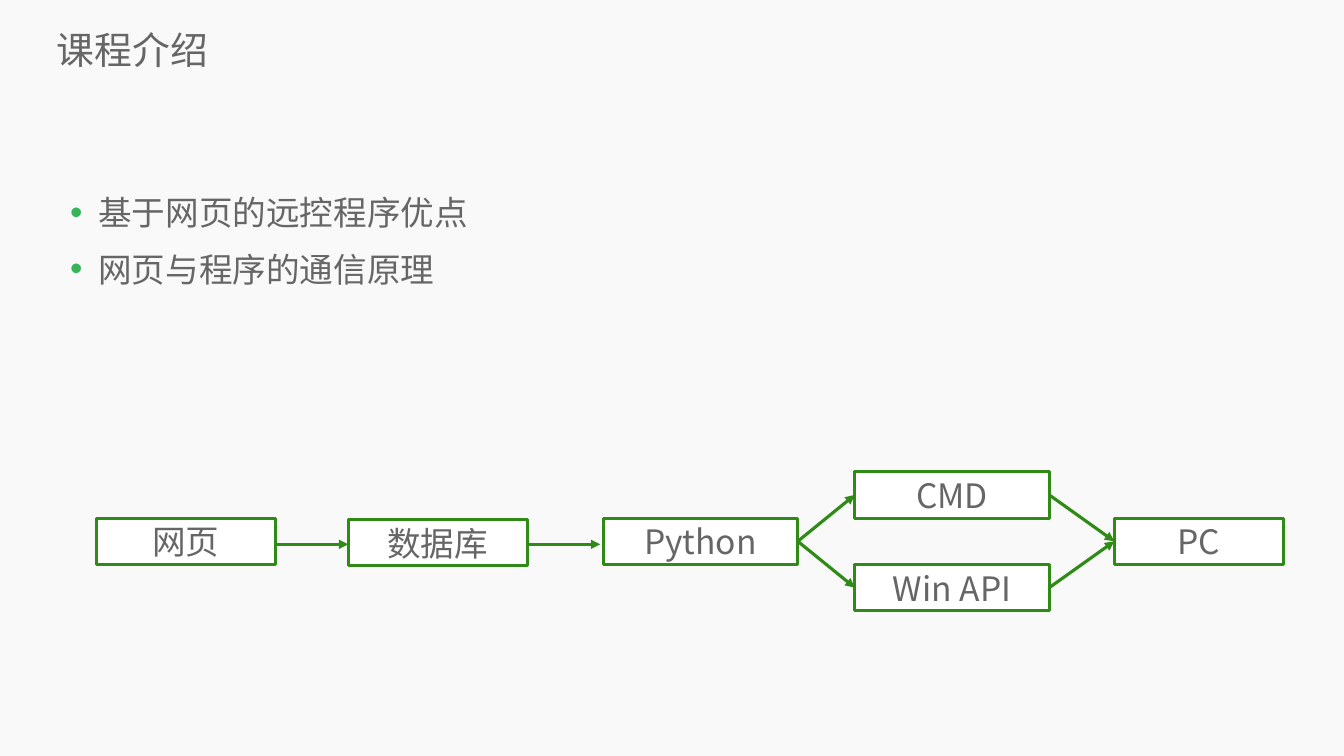
"""Build the course introduction slide with its remote control flow."""
from lxml import etree
from pptx import Presentation
from pptx import util as u
from pptx.dml.color import RGBColor
from pptx.enum import shapes, text
from pptx.oxml import ns

PAPER = RGBColor(0xF9, 0xF9, 0xF9)
WHITE = RGBColor(0xFF, 0xFF, 0xFF)
GREY = RGBColor(0x66, 0x66, 0x66)
GREEN = RGBColor(0x30, 0x8B, 0x16)
BULLET_GREEN = RGBColor(0x35, 0xB5, 0x58)

LEFT, RIGHT = 1, 3
BOX_HEIGHT = 66.2
MIDDLE_TOP = 740.2
BRANCH_OFFSET = 66.2
ARROW_Y = 777.6

BOXES = {
    "网页": (137.5, MIDDLE_TOP, 255.6),
    "数据库": (497.5, MIDDLE_TOP + 2, 255.6),
    "Python": (861.8, MIDDLE_TOP, 277.9),
    "CMD": (1221.1, MIDDLE_TOP - BRANCH_OFFSET, 277.9),
    "Win API": (1221.1, MIDDLE_TOP + BRANCH_OFFSET, 277.9),
    "PC": (1591.9, MIDDLE_TOP, 241.9),
}
BRANCHES = [("Python", "CMD"), ("Python", "Win API"), ("CMD", "PC"), ("Win API", "PC")]
LEVEL_ARROWS = [(393.1, 497.5), (753.1, 857.5)]
TOPICS = ["基于网页的远控程序优点", "网页与程序的通信原理"]


class SlideBuilder:
    """Hold the style and the current slide."""

    font = "Noto Sans CJK SC"
    size = 48
    line_width = 4.5

    def __init__(self, page):
        self.page = page
        page.background.fill.solid()
        page.background.fill.fore_color.rgb = PAPER

    def child(self, parent, tag, **attributes):
        return etree.SubElement(parent, ns.qn(tag), attributes)

    def frame(self, box, anchor, inset=0):
        frame = box.text_frame
        frame.word_wrap = True
        frame.auto_size = text.MSO_AUTO_SIZE.NONE
        frame.vertical_anchor = anchor
        frame.margin_left = frame.margin_right = u.Pt(inset)
        frame.margin_top = frame.margin_bottom = u.Pt(inset)
        return frame

    def add_words(self, para, words, size):
        span = para.add_run()
        span.text = words
        span.font.size = u.Pt(size)
        span.font.name = self.font
        span.font.color.rgb = GREY
        self.child(span.font._element, "a:ea", typeface=self.font)

    def outline(self, line):
        line.color.rgb = GREEN
        line.width = u.Pt(self.line_width)

    def title(self, words, left, top, width, height):
        box = self.page.shapes.add_textbox(u.Pt(left), u.Pt(top), u.Pt(width), u.Pt(height))
        frame = self.frame(box, text.MSO_ANCHOR.MIDDLE)
        self.add_words(frame.paragraphs[0], words, 54)

    def bullets(self, items, left, top, width, height):
        box = self.page.shapes.add_textbox(u.Pt(left), u.Pt(top), u.Pt(width), u.Pt(height))
        frame = self.frame(box, text.MSO_ANCHOR.TOP)
        for index, item in enumerate(items):
            para = frame.add_paragraph() if index else frame.paragraphs[0]
            para.line_spacing = 1.4
            props = para._p.get_or_add_pPr()
            props.set("marL", str(u.Pt(54.7)))
            props.set("indent", str(u.Pt(-40.3)))
            color = self.child(props, "a:buClr")
            self.child(color, "a:srgbClr", val=str(BULLET_GREEN))
            self.child(props, "a:buSzPct", val="105000")
            self.child(props, "a:buFont", typeface="Arial")
            self.child(props, "a:buChar", char="•")
            self.add_words(para, item, self.size)

    def box(self, words, left, top, width):
        box = self.page.shapes.add_shape(
            shapes.MSO_SHAPE.RECTANGLE, u.Pt(left), u.Pt(top), u.Pt(width), u.Pt(BOX_HEIGHT))
        box.shadow.inherit = False
        box.fill.solid()
        box.fill.fore_color.rgb = WHITE
        self.outline(box.line)
        para = self.frame(box, text.MSO_ANCHOR.MIDDLE, 4).paragraphs[0]
        para.alignment = text.PP_ALIGN.CENTER
        self.add_words(para, words, self.size)
        return box

    def arrow(self, start_x=0, start_y=0, end_x=0, end_y=0):
        arrow = self.page.shapes.add_connector(
            shapes.MSO_CONNECTOR.STRAIGHT,
            u.Pt(start_x), u.Pt(start_y), u.Pt(end_x), u.Pt(end_y))
        self.outline(arrow.line)
        self.child(arrow.line._get_or_add_ln(), "a:tailEnd", type="triangle")
        self.child(arrow._element.spPr, "a:effectLst")
        return arrow

    def join(self, source, target):
        arrow = self.arrow()
        arrow.begin_connect(source, RIGHT)
        arrow.end_connect(target, LEFT)


def main():
    deck = Presentation()
    deck.slide_width, deck.slide_height = u.Pt(1920), u.Pt(1080)
    builder = SlideBuilder(deck.slides.add_slide(deck.slide_layouts[6]))
    builder.title("课程介绍", 81.4, 33.8, 1811.5, 73.4)
    builder.bullets(TOPICS, 85.7, 251.3, 1748.2, 809.3)
    boxes = {words: builder.box(words, *place) for words, place in BOXES.items()}
    for source, target in BRANCHES:
        builder.join(boxes[source], boxes[target])
    for start, end in LEVEL_ARROWS:
        builder.arrow(start, ARROW_Y, end, ARROW_Y)
    deck.save("out.pptx")


if __name__ == "__main__":
    main()
